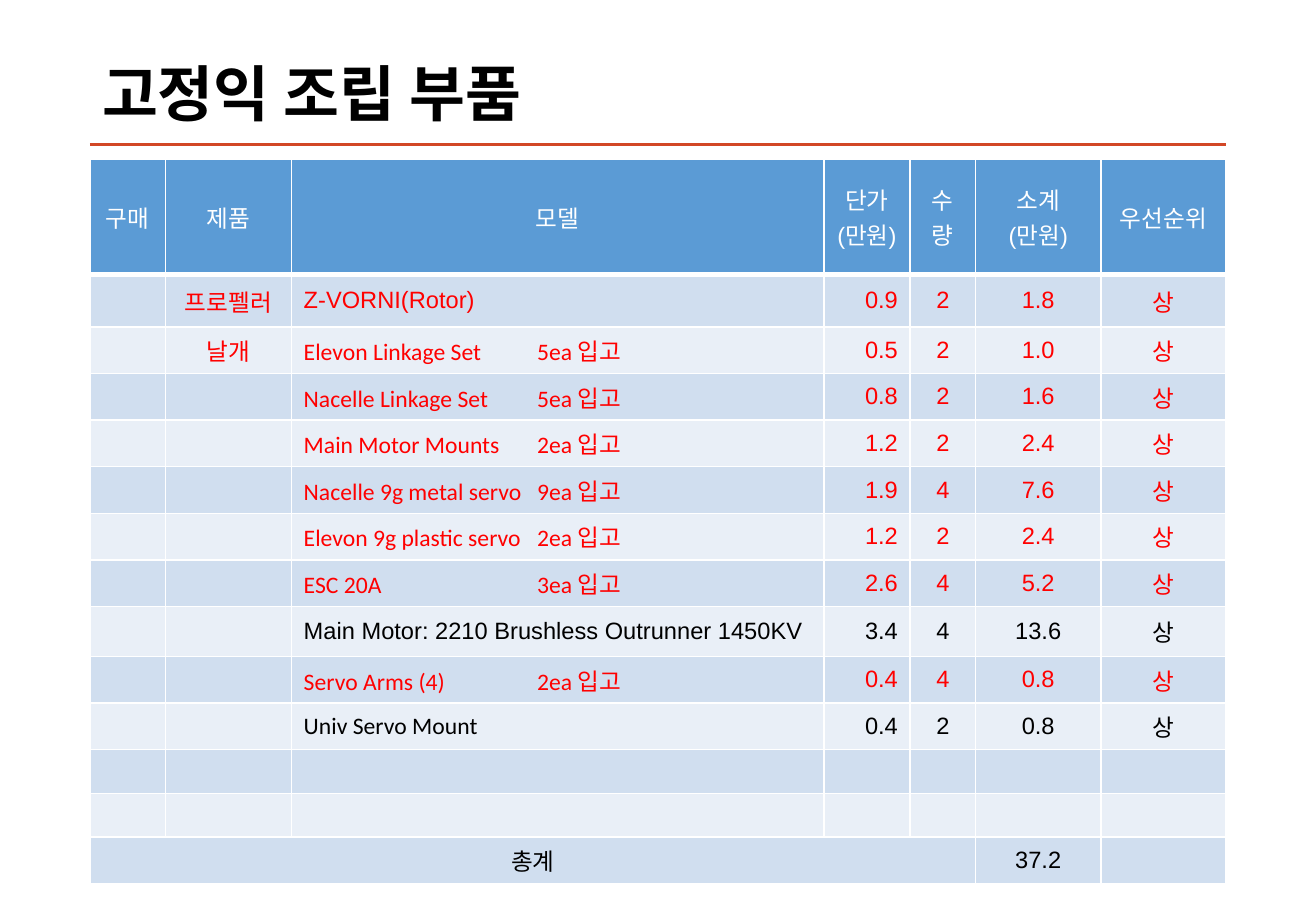
"""Build the fixed-wing assembly parts slide with its purchase table."""
from lxml import etree
from pptx import Presentation
from pptx.dml.color import RGBColor
from pptx.enum import shapes, text
from pptx.oxml.ns import qn
from pptx.util import Inches, Pt

TITLE = "고정익 조립 부품"
HEADER = ["구매", "제품", "모델", "단가\n(만원)", "수량", "소계\n(만원)", "우선순위"]
PARTS = [
    ("프로펠러", "Z-VORNI(Rotor)", "0.9", "2", "1.8", "Arial", "red"),
    ("날개", "Elevon Linkage Set\t5ea 입고", "0.5", "2", "1.0", "Calibri", "red"),
    ("", "Nacelle Linkage Set\t5ea 입고", "0.8", "2", "1.6", "Calibri", "red"),
    ("", "Main Motor Mounts\t2ea 입고", "1.2", "2", "2.4", "Calibri", "red"),
    ("", "Nacelle 9g metal servo\t9ea 입고", "1.9", "4", "7.6", "Calibri", "red"),
    ("", "Elevon 9g plastic servo\t2ea 입고", "1.2", "2", "2.4", "Calibri", "red"),
    ("", "ESC 20A\t3ea 입고", "2.6", "4", "5.2", "Calibri", "red"),
    ("", "Main Motor: 2210 Brushless Outrunner 1450KV", "3.4", "4", "13.6", "Arial", "black"),
    ("", "Servo Arms (4)\t2ea 입고", "0.4", "4", "0.8", "Calibri", "red"),
    ("", "Univ Servo Mount", "0.4", "2", "0.8", "Calibri", "black"),
]
PRIORITY = "상"
TOTAL = ["총계", "", "", "", "", "37.2", ""]
EMPTY_ROWS = 2
COLORS = {"black": "000000", "white": "FFFFFF", "red": "FF0000", "rule": "D24726",
          "header": "5B9BD5", "odd": "D0DEEF", "even": "E9EFF7"}
COL_WIDTHS = [0.62, 1.04, 4.38, 0.71, 0.54, 1.03, 1.03]
ROW_HEIGHTS = [0.94, 0.43] + [0.38] * 6 + [0.41] + [0.38] * 2 + [0.36] * 2 + [0.38]
LEFT, WIDTH, TABLE_TOP, RULE_Y = 0.74, 9.35, 1.31, 1.19
MODEL, PRICE, RANK = 2, 3, 6
STOCK_TAB = 1.92


def rgb(name):
    return RGBColor.from_string(COLORS[name])


def style(p, size, font, color, bold=False):
    p.font.size, p.font.name, p.font.bold = Pt(size), font, bold
    p.font.color.rgb = rgb(color)


def add_tab(p, inches):
    tabs = etree.Element(qn("a:tabLst"))
    etree.SubElement(tabs, qn("a:tab"), pos=str(Inches(inches)), algn="l")
    p._p.get_or_add_pPr().insert(0, tabs)


def add_bottom_border(cell, width, color):
    border = etree.Element(qn("a:lnB"), w=str(Pt(width)))
    fill = etree.SubElement(border, qn("a:solidFill"))
    etree.SubElement(fill, qn("a:srgbClr"), val=COLORS[color])
    cell._tc.get_or_add_tcPr().insert(0, border)


def fill_cell(cell, value, align, font, color, fill):
    cell.fill.solid()
    cell.fill.fore_color.rgb = rgb(fill)
    cell.vertical_anchor = text.MSO_ANCHOR.MIDDLE
    cell.text = value
    for p in cell.text_frame.paragraphs:
        p.alignment = align
        style(p, 14, font, color)
        if "\t" in value:
            add_tab(p, STOCK_TAB)
        if not value:
            end = etree.SubElement(p._p, qn("a:endParaRPr"))
            end.set("sz", "1400")


def add_title(s):
    sp = s.shapes.title
    sp.left, sp.top, sp.width, sp.height = map(Inches, (LEFT, 0.4, WIDTH, 0.79))
    tf = sp.text_frame
    tf.text = TITLE
    tf.auto_size = text.MSO_AUTO_SIZE.NONE
    tf.vertical_anchor = text.MSO_ANCHOR.MIDDLE
    p = tf.paragraphs[0]
    p.alignment, p.line_spacing = text.PP_ALIGN.LEFT, 0.9
    style(p, 36, "Times New Roman", "black", True)


def add_rule(s):
    line = s.shapes.add_connector(shapes.MSO_CONNECTOR.STRAIGHT, Inches(LEFT), Inches(RULE_Y),
                                  Inches(LEFT + WIDTH), Inches(RULE_Y))
    line.line.color.rgb, line.line.width = rgb("rule"), Pt(2)
    etree.SubElement(line._element.spPr, qn("a:effectLst"))


def add_parts_table(s):
    rows = [(HEADER, "Arial", "white")]
    for *values, font, color in PARTS:
        rows.append((["", *values, PRIORITY], font, color))
    rows += [([""] * len(HEADER), "Arial", "black")] * EMPTY_ROWS
    rows.append((TOTAL, "Arial", "black"))

    table = s.shapes.add_table(len(rows), len(HEADER), Inches(LEFT), Inches(TABLE_TOP),
                               Inches(WIDTH), Inches(sum(ROW_HEIGHTS))).table
    for column, width in zip(table.columns, COL_WIDTHS):
        column.width = Inches(width)
    for row, height in zip(table.rows, ROW_HEIGHTS):
        row.height = Inches(height)

    last = len(rows) - 1
    aligns = {MODEL: text.PP_ALIGN.LEFT, PRICE: text.PP_ALIGN.RIGHT}
    for i, (values, model_font, color) in enumerate(rows):
        fill = "header" if i == 0 else "odd" if i % 2 else "even"
        for j, value in enumerate(values):
            align = text.PP_ALIGN.CENTER
            if 0 < i < last:
                align = aligns.get(j, align)
            font = model_font if j == MODEL else "Arial"
            if j == RANK and 1 < i < last:
                font = "Calibri"
            fill_cell(table.cell(i, j), value, align, font, color, fill)
    for cell in table.rows[0].cells:
        add_bottom_border(cell, 3, "white")
    table.cell(last, 0).merge(table.cell(last, 4))


def main():
    prs = Presentation()
    prs.slide_width, prs.slide_height = Inches(10.83), Inches(7.5)
    s = prs.slides.add_slide(prs.slide_layouts[5])
    add_title(s)
    add_rule(s)
    add_parts_table(s)
    prs.save("out.pptx")


if __name__ == "__main__":
    main()
